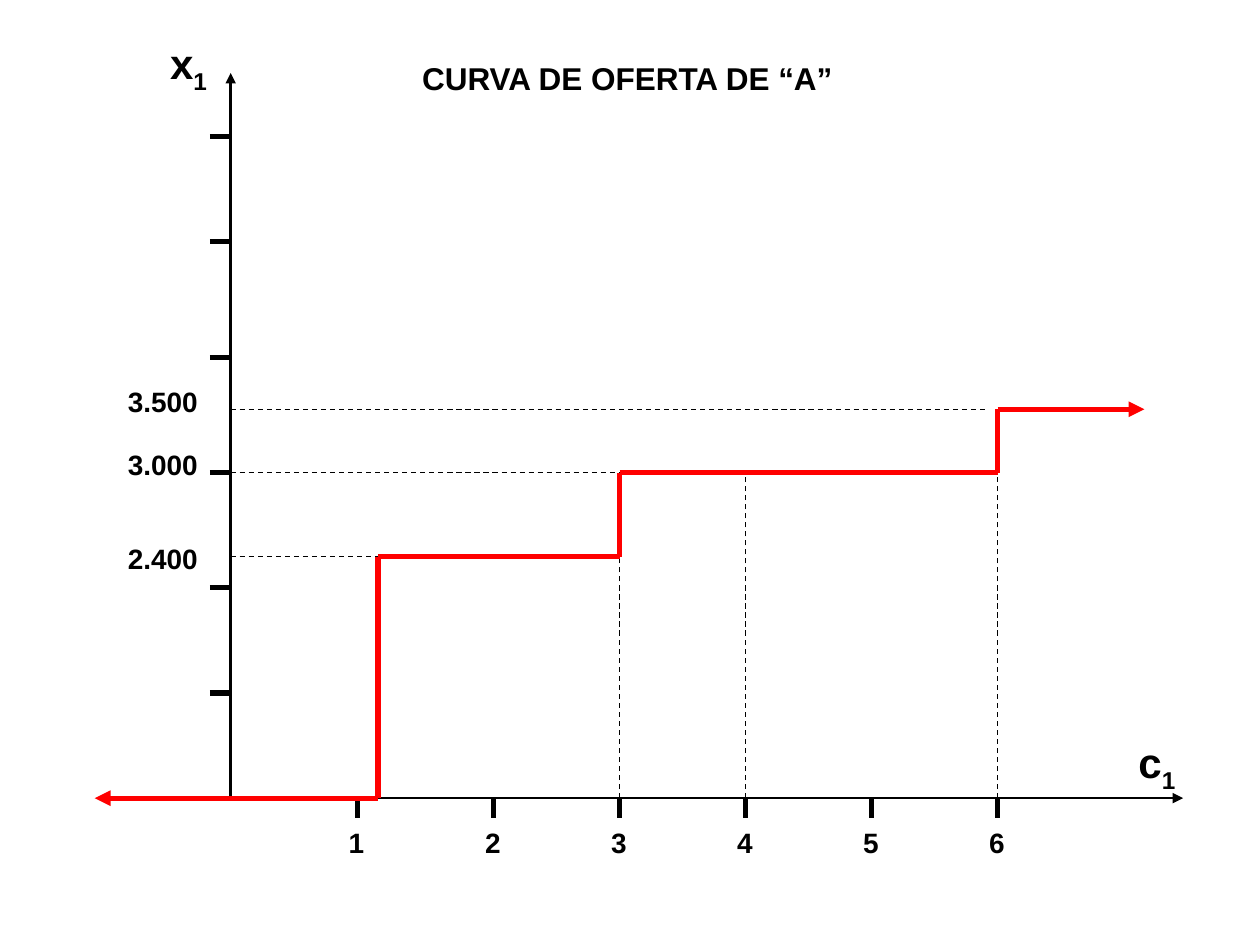
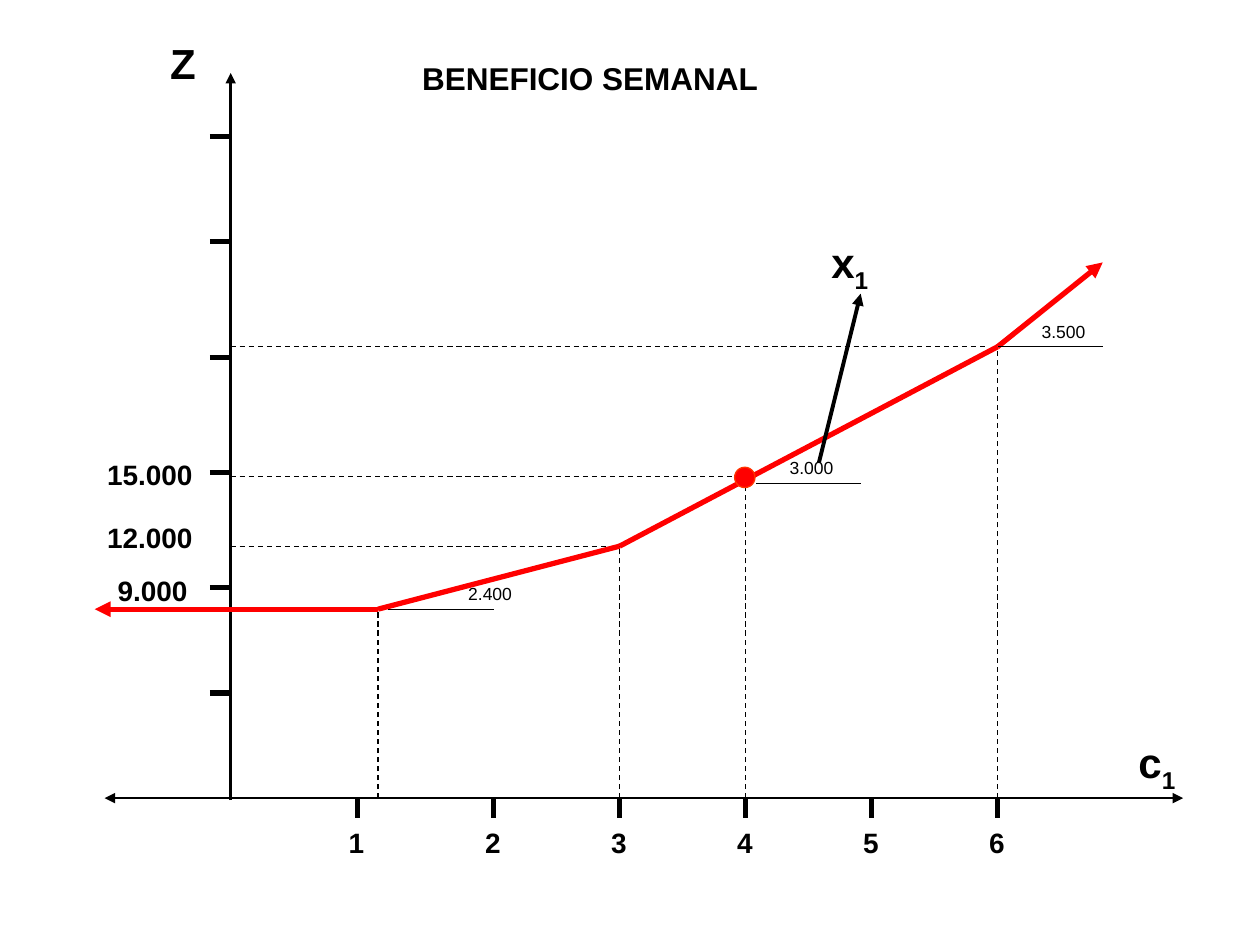
from dataclasses import dataclass
from itertools import pairwise

from pptx import Presentation
from pptx import util as u
from pptx.dml.color import RGBColor
from pptx.enum import dml, shapes, text
from pptx.oxml.ns import qn
from lxml import etree

BLACK, WHITE, RED, ORANGE = "000000", "FFFFFF", "FF0000", "FF3300"
FONT = "Arial"

# Axis geometry in centimetres
AXIS_X, BASE_Y = 4.65, 16.09
TICK_ONE, TICK_TWO, TICK_STEP = 7.2, 9.95, 2.54
COST_TICKS = [TICK_ONE] + [round(TICK_TWO + TICK_STEP * i, 2) for i in range(5)]
VALUE_TICKS = [13.97, 11.85, 9.53, 7.2, 4.87, 2.75]
STEP_X = 7.62                       # cost at which the curve starts to rise
COST_3, COST_4, COST_6 = COST_TICKS[2], COST_TICKS[3], COST_TICKS[5]

# Text formats
TITLE = {"size": u.Pt(18), "bold": True}
AXIS_NAME = {"size": u.Pt(24), "bold": True}
SCALE = {"size": u.Pt(16), "bold": True}
SLOPE = {"size": u.Pt(10), "bold": False}


@dataclass
class Label:
    words: str
    left: float
    top: float
    width: float
    height: float
    style: dict
    sub: str = ""
    fill: str = ""
    wrap: bool = True


@dataclass
class Line:
    start: tuple[float, float]
    end: tuple[float, float]
    weight: float = 0.75
    color: str = BLACK
    dashed: bool = False
    head: bool = False
    tail: bool = False


@dataclass
class Graph:
    title: str
    value_axis: Label
    left_arrow: bool                       # arrow at the left of the cost axis
    scale: list[Label]                     # values beside the vertical axis
    rows: list[tuple[float, float]]        # horizontal guides: y, right end
    columns: list[tuple[float, float]]     # vertical guides: x, top end
    curve: list[tuple[float, float]]


def rgb(value: str) -> RGBColor:
    return RGBColor.from_string(value)


def draw_line(page, line: Line) -> None:
    ends = [u.Cm(value) for value in (*line.start, *line.end)]
    connector = page.shapes.add_connector(shapes.MSO_CONNECTOR.STRAIGHT, *ends)
    connector.line.color.rgb = rgb(line.color)
    connector.line.width = u.Pt(line.weight)
    if line.dashed:
        connector.line.dash_style = dml.MSO_LINE.DASH
    outline = connector.line._get_or_add_ln()
    for tag, wanted in (("a:headEnd", line.head), ("a:tailEnd", line.tail)):
        if wanted:
            etree.SubElement(outline, qn(tag)).set("type", "triangle")
    etree.SubElement(connector._element.spPr, qn("a:effectLst"))


def draw_label(page, label: Label) -> None:
    area = [u.Cm(v) for v in (label.left, label.top, label.width, label.height)]
    box = page.shapes.add_textbox(*area)
    if label.fill:
        box.fill.solid()
        box.fill.fore_color.rgb = rgb(label.fill)
    frame = box.text_frame
    frame.word_wrap = label.wrap
    frame.auto_size = text.MSO_AUTO_SIZE.SHAPE_TO_FIT_TEXT
    para = frame.paragraphs[0]
    for words, baseline in ((label.words, None), (label.sub, "-25000")):
        if not words:
            continue
        span = para.add_run()
        span.text = words
        for name, value in {"name": FONT, **label.style}.items():
            setattr(span.font, name, value)
        span.font.color.rgb = rgb(BLACK)
        if baseline:
            span._r.get_or_add_rPr().set("baseline", baseline)


def draw_dot(page, left: float, top: float, size: float) -> None:
    area = [u.Cm(value) for value in (left, top, size, size)]
    dot = page.shapes.add_shape(shapes.MSO_SHAPE.OVAL, *area)
    dot.shadow.inherit = False
    dot.fill.solid()
    dot.fill.fore_color.rgb = rgb(RED)
    dot.line.color.rgb = rgb(ORANGE)
    dot.line.width = u.Pt(0.75)


def axis_name(words: str, left: float, top: float, sub: str = "") -> Label:
    return Label(words, left, top, 1.65, 1.42, AXIS_NAME, sub)


def scale_value(words: str, left: float, top: float, width: float = 1.91,
                fill: str = "") -> Label:
    return Label(words, left, top, width, 0.94, SCALE, fill=fill, wrap=False)


def draw_axes(page, graph: Graph) -> None:
    draw_line(page, Line((AXIS_X, 16.13), (AXIS_X, 1.47), 1.5, tail=True))
    draw_line(page, Line((2.11, BASE_Y), (23.85, BASE_Y), 1.5,
                         head=graph.left_arrow, tail=True))
    for label in (graph.value_axis, axis_name("c", 22.7, 14.73, "1"), *graph.scale):
        draw_label(page, label)
    for number, x in enumerate(COST_TICKS, 1):
        draw_line(page, Line((x, BASE_Y + 0.4), (x, BASE_Y), 3))
        draw_label(page, scale_value(str(number), x - 0.42, 16.51, 0.81))
    for y in VALUE_TICKS:
        draw_line(page, Line((4.23, y), (4.63, y), 3))


def draw_graph(page, graph: Graph) -> None:
    draw_axes(page, graph)
    # Dashed guides
    for y, right in graph.rows:
        draw_line(page, Line((AXIS_X, y), (right, y), dashed=True))
    for x, top in graph.columns:
        draw_line(page, Line((x, BASE_Y), (x, top), dashed=True))
    # Curve, with arrows at both outer ends
    last = len(graph.curve) - 2
    for i, (start, end) in enumerate(pairwise(graph.curve)):
        draw_line(page, Line(start, end, 3, RED, head=i == 0, tail=i == last))
    draw_label(page, Label(graph.title, 8.26, 1.07, 11.23, 1.02, TITLE))


def draw_slopes(page) -> None:
    """Level marks and slope values along the profit curve."""
    for left, right, y in ((7.82, 9.96, 12.28), (15.24, 17.35, 9.74),
                           (COST_6, 22.23, 6.99)):
        draw_line(page, Line((left, y), (right, y)))
    for words, left, top in (("2.400", 9.19, 11.63), ("3.000", 15.67, 9.09),
                             ("3.500", 20.75, 6.35)):
        draw_label(page, Label(words, left, top, 2.54, 0.69, SLOPE))
    draw_label(page, axis_name("x", 16.51, 4.65, "1"))
    draw_line(page, Line((16.51, 9.32), (17.35, 5.92), 2.25, tail=True))


SUPPLY = Graph(
    title="CURVA DE OFERTA DE “A”",
    value_axis=axis_name("x", 3.18, 0.64, "1"),
    left_arrow=False,
    scale=[scale_value("2.400", 2.33, 10.8, fill=WHITE),
           scale_value("3.500", 2.33, 7.62),
           scale_value("3.000", 2.33, 8.89)],
    rows=[(9.53, COST_4), (8.25, 19.9), (11.22, STEP_X)],
    columns=[(COST_4, 9.53), (COST_6, 9.53), (COST_3, 11.01), (STEP_X, 12.7)],
    curve=[(1.91, BASE_Y), (STEP_X, BASE_Y), (STEP_X, 11.22), (COST_3, 11.22),
           (COST_3, 9.53), (COST_6, 9.53), (COST_6, 8.25), (23.07, 8.25)],
)

PROFIT = Graph(
    title="BENEFICIO SEMANAL",
    value_axis=axis_name("Z", 3.18, 0.64),
    left_arrow=True,
    scale=[scale_value("9.000", 2.12, 11.43, fill=WHITE),
           scale_value("12.000", 1.91, 10.37, 2.23),
           scale_value("15.000", 1.91, 9.1, 2.23)],
    rows=[(9.6, COST_4), (6.99, 19.9), (11.01, COST_3), (12.28, STEP_X)],
    columns=[(COST_4, 9.53), (COST_6, 6.99), (COST_3, 11.01), (STEP_X, 12.28)],
    curve=[(1.91, 12.28), (STEP_X, 12.28), (COST_3, 11.01), (COST_6, 6.99),
           (22.23, 5.29)],
)


def main() -> None:
    deck = Presentation()
    deck.slide_width, deck.slide_height = u.Cm(25.4), u.Cm(19.05)
    blank = deck.slide_layouts[6]

    # Supply curve
    draw_graph(deck.slides.add_slide(blank), SUPPLY)

    # Weekly profit, with the current cost marked
    page = deck.slides.add_slide(blank)
    draw_graph(page, PROFIT)
    draw_dot(page, 14.81, 9.42, 0.41)
    draw_slopes(page)

    deck.save("out.pptx")


if __name__ == "__main__":
    main()
